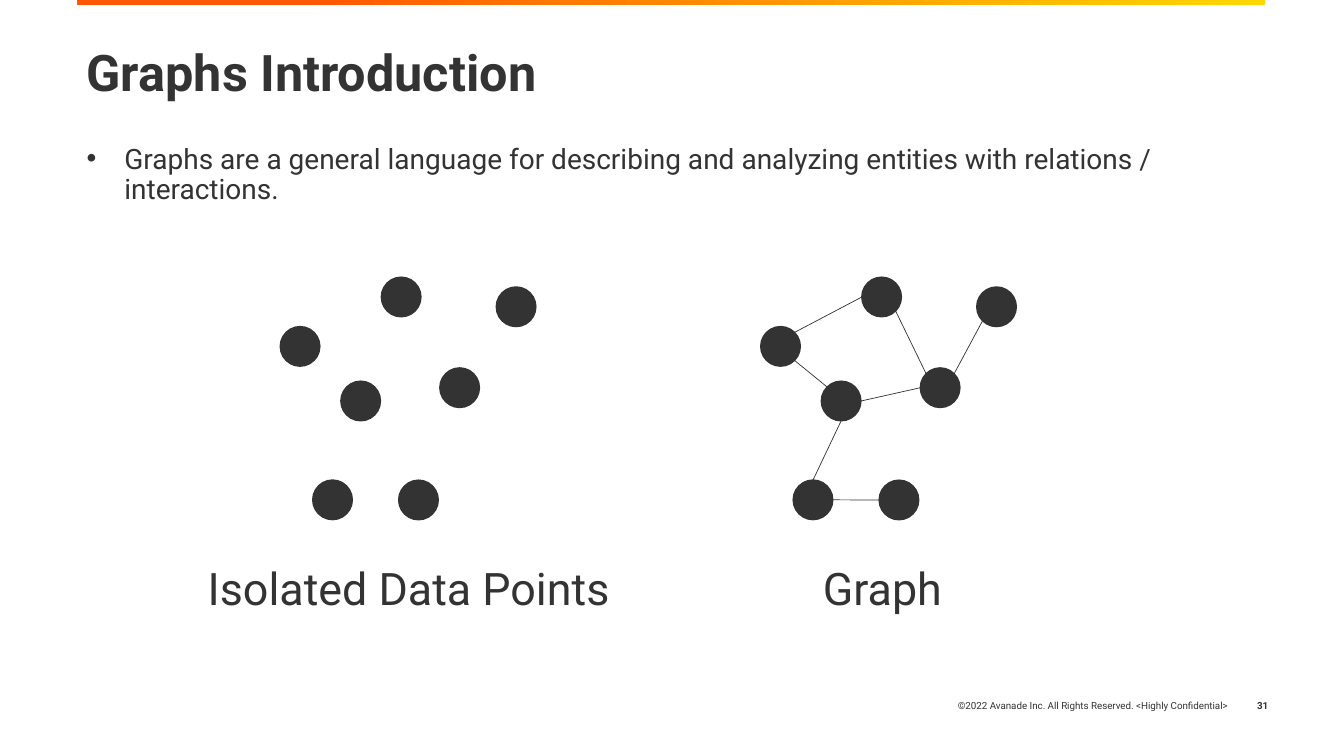
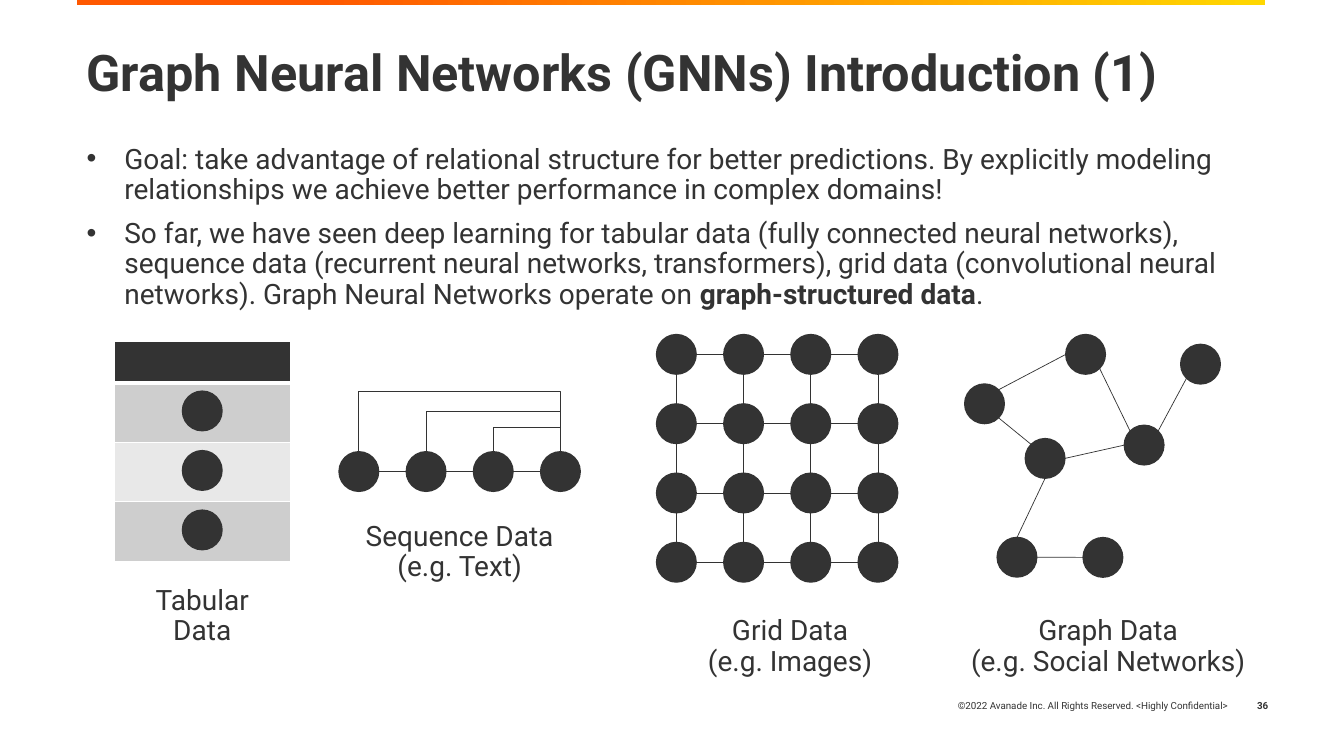
import math
from dataclasses import dataclass

import pptx
import pptx.dml.color
import pptx.enum.shapes
import pptx.enum.text
import pptx.util
from lxml import etree
from pptx.oxml.ns import qn

Pt = pptx.util.Pt
ALIGN = pptx.enum.text.PP_ALIGN
ANCHOR = pptx.enum.text.MSO_ANCHOR


@dataclass(frozen=True)
class Theme:
    font: str = "Roboto"
    ink: str = "333333"
    paper: str = "FFFFFF"
    row_dark: str = "CECECE"
    row_light: str = "E8E8E8"
    band_start: str = "FF5800"
    band_end: str = "FFD700"
    title_size: float = 36
    caption_size: float = 32
    body_size: float = 20
    footer_size: float = 7
    tight: float = 0.9
    edge_width: float = 0.5
    node_size: float = 28.3


THEME = Theme()

# Node offsets (top left corner) of the example graph
GRAPH_NODES = {
    "left": (0, 35.3),
    "top": (72.2, 0),
    "far": (154.3, 7),
    "hub": (114, 64.8),
    "middle": (43.3, 74.3),
    "low left": (23.2, 144.9),
    "low right": (84.6, 145),
}
# Each edge: node, angle on its rim, node, angle on its rim
GRAPH_EDGES = [
    ("left", 45, "top", 180),
    ("left", -45, "middle", 135),
    ("low left", 90, "middle", -90),
    ("hub", 180, "middle", 0),
    ("low right", 180, "low left", 0),
    ("hub", 45, "far", -135),
    ("hub", 135, "top", -45),
]


def rgb(value):
    return pptx.dml.color.RGBColor.from_string(value)


# ---- Basic parts ----
def add_text(slide, box, paragraphs, size, bold=False, align=ALIGN.LEFT,
             anchor=ANCHOR.TOP, spacing=1.0, bullet=False):
    """Each paragraph is a string, or a list of (text, bold) runs."""
    frame = slide.shapes.add_textbox(*map(Pt, box)).text_frame
    frame.word_wrap = True
    frame.vertical_anchor = anchor
    for index, content in enumerate(paragraphs):
        paragraph = frame.add_paragraph() if index else frame.paragraphs[0]
        if bullet:
            add_bullet(paragraph)
        paragraph.alignment = align
        paragraph.line_spacing = spacing
        if index:
            paragraph.space_before = Pt(10)
        paragraph.font.name = THEME.font
        paragraph.font.size = Pt(size)
        paragraph.font.bold = bold
        paragraph.font.color.rgb = rgb(THEME.ink)
        if isinstance(content, str):
            paragraph.text = content
            continue
        for text, strong in content:
            run = paragraph.add_run()
            run.text = text
            if strong:
                run.font.bold = True


def add_bullet(paragraph):
    properties = paragraph._p.get_or_add_pPr()
    indent = Pt(27)
    properties.set("marL", str(indent))
    properties.set("indent", str(-indent))
    etree.SubElement(properties, qn("a:buFont")).set("typeface", "Arial")
    etree.SubElement(properties, qn("a:buChar")).set("char", "•")


def add_node(slide, left, top):
    size = Pt(THEME.node_size)
    node = slide.shapes.add_shape(
        pptx.enum.shapes.MSO_SHAPE.FLOWCHART_CONNECTOR,
        Pt(left), Pt(top), size, size)
    node.shadow.inherit = False
    node.fill.solid()
    node.fill.fore_color.rgb = rgb(THEME.ink)
    node.line.color.rgb = rgb(THEME.ink)
    node.line.width = Pt(1)


def rim_point(corner, angle):
    """Point on the rim of the node whose top left corner is given."""
    radius = THEME.node_size / 2
    turn = math.radians(angle)
    return (corner[0] + radius * (1 + math.cos(turn)),
            corner[1] + radius * (1 - math.sin(turn)))


def add_edge(slide, start, end):
    edge = slide.shapes.add_connector(
        pptx.enum.shapes.MSO_CONNECTOR.STRAIGHT, *map(Pt, (*start, *end)))
    edge.line.color.rgb = rgb(THEME.ink)
    edge.line.width = Pt(THEME.edge_width)
    etree.SubElement(edge._element.spPr, qn("a:effectLst"))


# ---- Diagrams ----
def add_graph(slide, left, top, connected=True):
    corners = {name: (left + x, top + y) for name, (x, y) in GRAPH_NODES.items()}
    for corner in corners.values():
        add_node(slide, *corner)
    if connected:
        for first, first_angle, second, second_angle in GRAPH_EDGES:
            add_edge(slide, rim_point(corners[first], first_angle),
                     rim_point(corners[second], second_angle))


def add_lattice(slide, left, top, columns, rows, step_x=48, step_y=49.5):
    for row in range(rows):
        for column in range(columns):
            corner = (left + column * step_x, top + row * step_y)
            add_node(slide, *corner)
            if column:
                add_edge(slide, rim_point((corner[0] - step_x, corner[1]), 0),
                         rim_point(corner, 180))
            if row:
                add_edge(slide, rim_point((corner[0], corner[1] - step_y), -90),
                         rim_point(corner, 90))


def add_sequence(slide, left, top, count=4, step=48):
    add_lattice(slide, left, top, count, 1, step)
    end_x, end_y = rim_point((left + (count - 1) * step, top), 90)
    # Links from the last node back to each earlier one
    for index, height in enumerate((43, 29, 17.3)):
        start_x = rim_point((left + index * step, top), 90)[0]
        builder = slide.shapes.build_freeform(Pt(end_x), Pt(end_y), scale=1.0)
        builder.add_line_segments(
            [(Pt(end_x), Pt(end_y - height)), (Pt(start_x), Pt(end_y - height)),
             (Pt(start_x), Pt(end_y))], close=False)
        link = builder.convert_to_shape()
        link.shadow.inherit = False
        link.fill.background()
        link.line.color.rgb = rgb(THEME.ink)
        link.line.width = Pt(THEME.edge_width)


def set_cell_borders(cell, bottom_width):
    properties = cell._tc.get_or_add_tcPr()
    widths = {"a:lnL": 1, "a:lnR": 1, "a:lnT": 1, "a:lnB": bottom_width}
    for position, (tag, width) in enumerate(widths.items()):
        line = etree.Element(qn(tag), w=str(Pt(width)))
        fill = etree.SubElement(line, qn("a:solidFill"))
        etree.SubElement(fill, qn("a:srgbClr")).set("val", THEME.paper)
        properties.insert(position, line)


def add_data_table(slide, left, top, width, header_height=29.5, row_height=42.5):
    fills = [THEME.ink, THEME.row_dark, THEME.row_light, THEME.row_dark]
    heights = [header_height] + [row_height] * (len(fills) - 1)
    table = slide.shapes.add_table(
        len(fills), 1, Pt(left), Pt(top), Pt(width), Pt(sum(heights))).table
    for index, (fill, height) in enumerate(zip(fills, heights)):
        table.rows[index].height = Pt(height)
        cell = table.cell(index, 0)
        cell.fill.solid()
        cell.fill.fore_color.rgb = rgb(fill)
        cell.text_frame.paragraphs[0].font.size = Pt(12)
        set_cell_borders(cell, 1 if index else 3)
    # One node in each body row, slightly above its middle
    for index in range(1, len(fills)):
        middle = top + sum(heights[:index]) + row_height / 2 - 1.2
        add_node(slide, left + (width - THEME.node_size) / 2,
                 middle - THEME.node_size / 2)


def add_label(slide, box, text):
    add_text(slide, box, [text], THEME.body_size, align=ALIGN.CENTER,
             spacing=THEME.tight)


# ---- Shared frame: band, footer, title, body ----
def add_frame(presentation, title, bullets, number):
    slide = presentation.slides.add_slide(presentation.slide_layouts[6])
    left, width = 54.7, 849

    band = slide.shapes.add_shape(pptx.enum.shapes.MSO_SHAPE.RECTANGLE,
                                  Pt(left), Pt(0), Pt(width), Pt(3.9))
    band.shadow.inherit = False
    band.line.fill.background()
    band.fill.gradient()
    band.fill.gradient_angle = 0
    stops = ((0.2, THEME.band_start), (1, THEME.band_end))
    for stop, (position, color) in zip(band.fill.gradient_stops, stops):
        stop.position = position
        stop.color.rgb = rgb(color)

    footer = {"size": THEME.footer_size, "align": ALIGN.RIGHT,
              "anchor": ANCHOR.MIDDLE}
    add_text(slide, (560, 489.6, 324, 28.8),
             ["©2022 Avanade Inc. All Rights Reserved. <Highly Confidential>"],
             **footer)
    add_text(slide, (878.4, 489.6, 34.6, 28.8), [str(number)], bold=True, **footer)

    add_text(slide, (left, 31, width, 78.5), [title], THEME.title_size,
             bold=True, spacing=THEME.tight)
    add_text(slide, (left, 100, width, 343), bullets, THEME.body_size,
             spacing=THEME.tight, bullet=True)
    return slide


# ---- Slides ----
def build_graphs_slide(presentation):
    slide = add_frame(presentation, "Graphs Introduction", [
        "Graphs are a general language for describing and analyzing entities "
        "with relations / interactions."], 31)
    add_graph(slide, 200.2, 198, connected=False)
    add_graph(slide, 543.4, 198)
    for left, width, caption in ((129, 326, "Isolated Data Points"),
                                 (427.6, 405.4, "Graph")):
        add_text(slide, (left, 396.7, width, 46), [caption],
                 THEME.caption_size, align=ALIGN.CENTER)


def build_networks_slide(presentation):
    slide = add_frame(presentation, "Graph Neural Networks (GNNs) Introduction (1)", [
        "Goal: take advantage of relational structure for better predictions. "
        "By explicitly modeling relationships we achieve better performance in "
        "complex domains!",
        [("So far, we have seen deep learning for tabular data (fully connected "
          "neural networks), sequence data (recurrent neural networks, "
          "transformers), grid data (convolutional neural networks). Graph "
          "Neural Networks operate on ", False),
         ("graph-structured data", True), (".", False)]], 36)

    add_data_table(slide, 81.6, 244, 125.8)
    add_label(slide, (81.6, 415.4, 125.8, 28.8), "Tabular Data")

    add_sequence(slide, 242.2, 322.7)
    add_label(slide, (242, 369.4, 172.8, 43), "Sequence Data (e.g. Text)")

    add_lattice(slide, 469, 239, 4, 4)
    add_label(slide, (478, 437, 172.8, 50), "Grid Data\n(e.g. Images)")

    add_graph(slide, 689.1, 239)
    add_label(slide, (669.6, 437, 244, 50), "Graph Data\n(e.g. Social Networks)")


def main():
    presentation = pptx.Presentation()
    presentation.slide_width = Pt(960)
    presentation.slide_height = Pt(540)
    build_graphs_slide(presentation)
    build_networks_slide(presentation)
    presentation.save("out.pptx")


if __name__ == "__main__":
    main()
